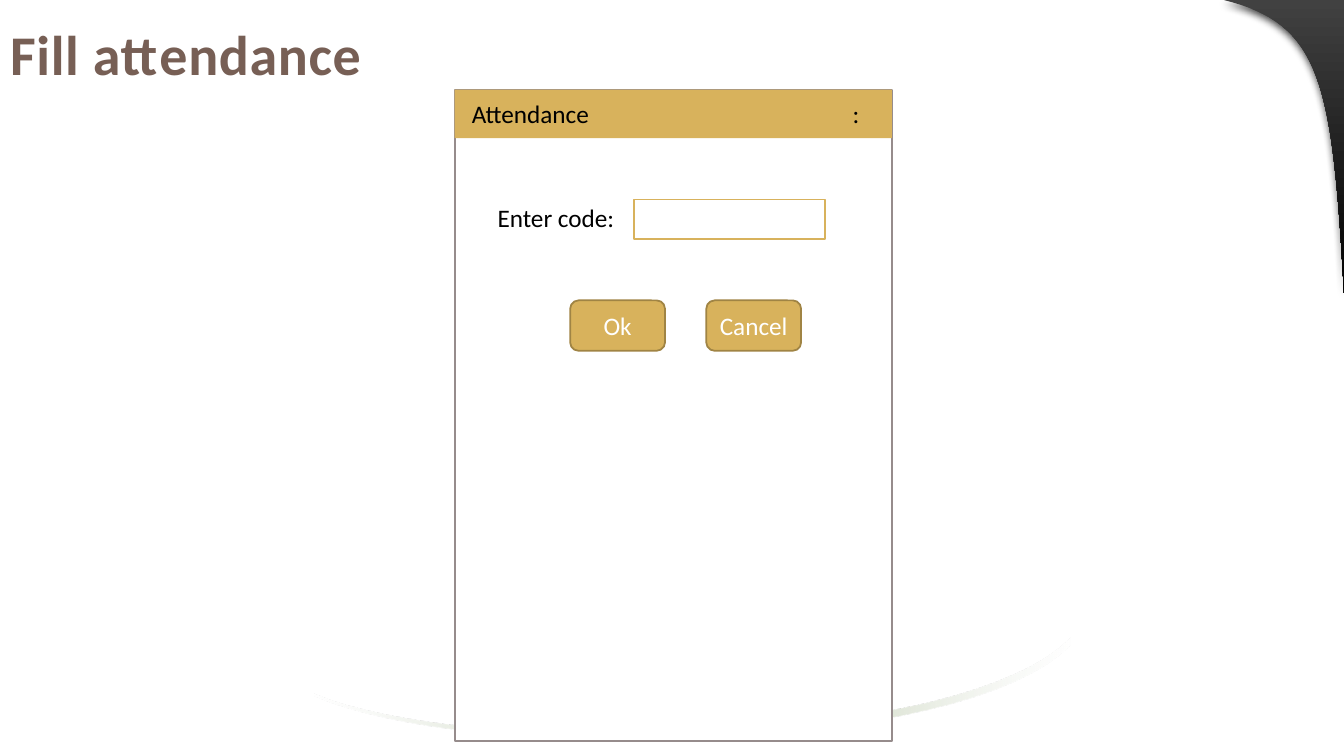
import pptx
import pptx.dml.color
import pptx.enum.shapes
import pptx.enum.text
import pptx.oxml
import pptx.oxml.ns
import pptx.util

Cm = pptx.util.Cm
Pt = pptx.util.Pt
SHAPE = pptx.enum.shapes.MSO_SHAPE
ALIGN = pptx.enum.text.PP_ALIGN
ANCHOR = pptx.enum.text.MSO_ANCHOR
qn = pptx.oxml.ns.qn

FONT = "Calibri"
GOLD, DARK_GOLD, WHITE, BLACK = "D8B25C", "A08444", "FFFFFF", "000000"


def color(value):
    """Turn a hex string into a colour."""
    return pptx.dml.color.RGBColor.from_string(value)


def element(tag, **attributes):
    """Make an empty drawing element."""
    node = pptx.oxml.parse_xml(f"<a:{tag} {pptx.oxml.ns.nsdecls('a')}/>")
    for name, value in attributes.items():
        node.set(name, str(value))
    return node


def tinted(tag, value, opacity, **attributes):
    """Make an element that holds one colour with an opacity in percent."""
    node = element(tag, **attributes)
    tint = element("srgbClr", val=value)
    tint.append(element("alpha", val=opacity * 1000))
    node.append(tint)
    return node


def add_shadow(effects, opacity, blur, distance, direction):
    """Add a black outer shadow to an effect list."""
    effects.append(tinted("outerShdw", BLACK, opacity, blurRad=Pt(blur), dist=Pt(distance),
                          dir=direction * 60000, algn="tl", rotWithShape=0))


def curve(start, first, second, end, steps=32):
    """Sample a cubic curve at equal steps."""
    points = []
    for index in range(steps + 1):
        t = index / steps
        u = 1 - t
        points.append(tuple(u**3 * a + 3 * u * u * t * b + 3 * u * t * t * c + t**3 * d
                            for a, b, c, d in zip(start, first, second, end)))
    return points


def add_outline(page, points, stops, angle):
    """Add a closed outline with a gradient fill and no line."""
    corners = [(Cm(x), Cm(y)) for x, y in points]
    builder = page.shapes.build_freeform(*corners[0])
    builder.add_line_segments(corners[1:], close=True)
    shape = builder.convert_to_shape()
    shape.fill.gradient()
    shape.fill.gradient_angle = angle
    stop_list = shape.element.spPr.find(".//" + qn("a:gsLst"))
    for stop in list(stop_list):
        stop_list.remove(stop)
    for place, value, opacity in stops:
        stop_list.append(tinted("gs", value, opacity, pos=place * 1000))
    shape.line.fill.background()
    shape.shadow.inherit = False
    return shape


def add_backdrop(page, width):
    """Draw the bottom swoosh and the dark corner."""
    lower = curve((26.97, 16.26), (24.26, 19.05), (11.73, 19.23), (7.92, 17.53))
    upper = curve((7.92, 17.48), (11.79, 19.1), (24.33, 18.82), (26.97, 16.08))
    add_outline(page, lower + upper,
                [(0, WHITE, 30), (50, "9CB084", 100), (100, WHITE, 30)], 0)
    edge = curve((width - 3.03, 0), (width - 0.6, 0.61), (width - 0.29, 1.98), (width, 7.39))
    corner = add_outline(page, edge + [(width, 0)],
                         [(0, "414141", 100), (100, BLACK, 100)], 270)
    add_shadow(corner.element.spPr.find(qn("a:effectLst")), 75, 6, 3, 90)


def add_title(page, box, text):
    """Place the title and give its letters a soft shadow."""
    title = page.shapes.title
    title.left, title.top, title.width, title.height = map(Cm, box)
    frame = title.text_frame
    frame.vertical_anchor = ANCHOR.MIDDLE
    para = frame.paragraphs[0]
    para.alignment = ALIGN.LEFT
    span = para.add_run()
    span.text = text
    font = span.font
    font.name, font.size, font.bold = FONT, Pt(40), True
    font.color.rgb = color("775F55")
    properties = span.font._element
    properties.set("spc", "50")
    effects = element("effectLst")
    add_shadow(effects, 40, 3, 2, 45)
    properties.find(qn("a:solidFill")).addnext(effects)


def add_block(group, kind, box, fill, line=None):
    """Add a filled shape with an optional outline."""
    shape = group.shapes.add_shape(kind, *map(Cm, box))
    shape.shadow.inherit = False
    shape.fill.solid()
    shape.fill.fore_color.rgb = color(fill)
    if line:
        shape.line.color.rgb = color(line)
        shape.line.width = Pt(1.25)
    else:
        shape.line.fill.background()
    return shape


def write(shape, text, ink, alignment, anchor=ANCHOR.MIDDLE, tab=None):
    """Write one line of text into a shape."""
    frame = shape.text_frame
    frame.word_wrap = True
    frame.vertical_anchor = anchor
    para = frame.paragraphs[0]
    para.text = text
    para.alignment = alignment
    if tab:
        tabs = element("tabLst")
        tabs.append(element("tab", pos=Cm(tab), algn="l"))
        para._p.get_or_add_pPr().append(tabs)
    para.font.name, para.font.size = FONT, Pt(18)
    para.font.color.rgb = color(ink)


def add_screen(page, box):
    """Draw the app window with its header bar."""
    left, top, width, height = box
    group = page.shapes.add_group_shape()
    add_block(group, SHAPE.RECTANGLE, box, WHITE, "968C8C")
    header = add_block(group, SHAPE.RECTANGLE, (left, top, width, 1.22), GOLD)
    header.text_frame.margin_left = Cm(0.43)
    write(header, "Attendance\t:", BLACK, ALIGN.LEFT, tab=9.6)


def add_form(page, box):
    """Draw the code field and its two buttons."""
    left, top, width, height = box
    group = page.shapes.add_group_shape()
    panel = add_block(group, SHAPE.RECTANGLE, box, WHITE)
    panel.text_frame.margin_top = Cm(0.91)
    write(panel, "Enter code:", BLACK, ALIGN.LEFT, ANCHOR.TOP)
    add_block(group, SHAPE.RECTANGLE, (left + 3.68, top + 0.84, 4.83, 0.99), WHITE, GOLD)
    for index, label in enumerate(("Ok", "Cancel")):
        place = (left + 2.08 + index * 3.43, top + 3.38, 2.39, 1.27)
        button = add_block(group, SHAPE.ROUNDED_RECTANGLE, place, GOLD, DARK_GOLD)
        write(button, label, WHITE, ALIGN.CENTER)


def main():
    """Build the deck and save it."""
    deck = pptx.Presentation()
    deck.slide_width, deck.slide_height = Cm(33.87), Cm(19.05)
    page = deck.slides.add_slide(deck.slide_layouts[5])
    add_backdrop(page, 33.87)
    add_title(page, (0, 0, 28.75, 2.69), "Fill attendance")
    add_screen(page, (11.46, 2.26, 11.02, 16.41))
    add_form(page, (12.29, 4.19, 9.35, 5.13))
    deck.save("out.pptx")


if __name__ == "__main__":
    main()
